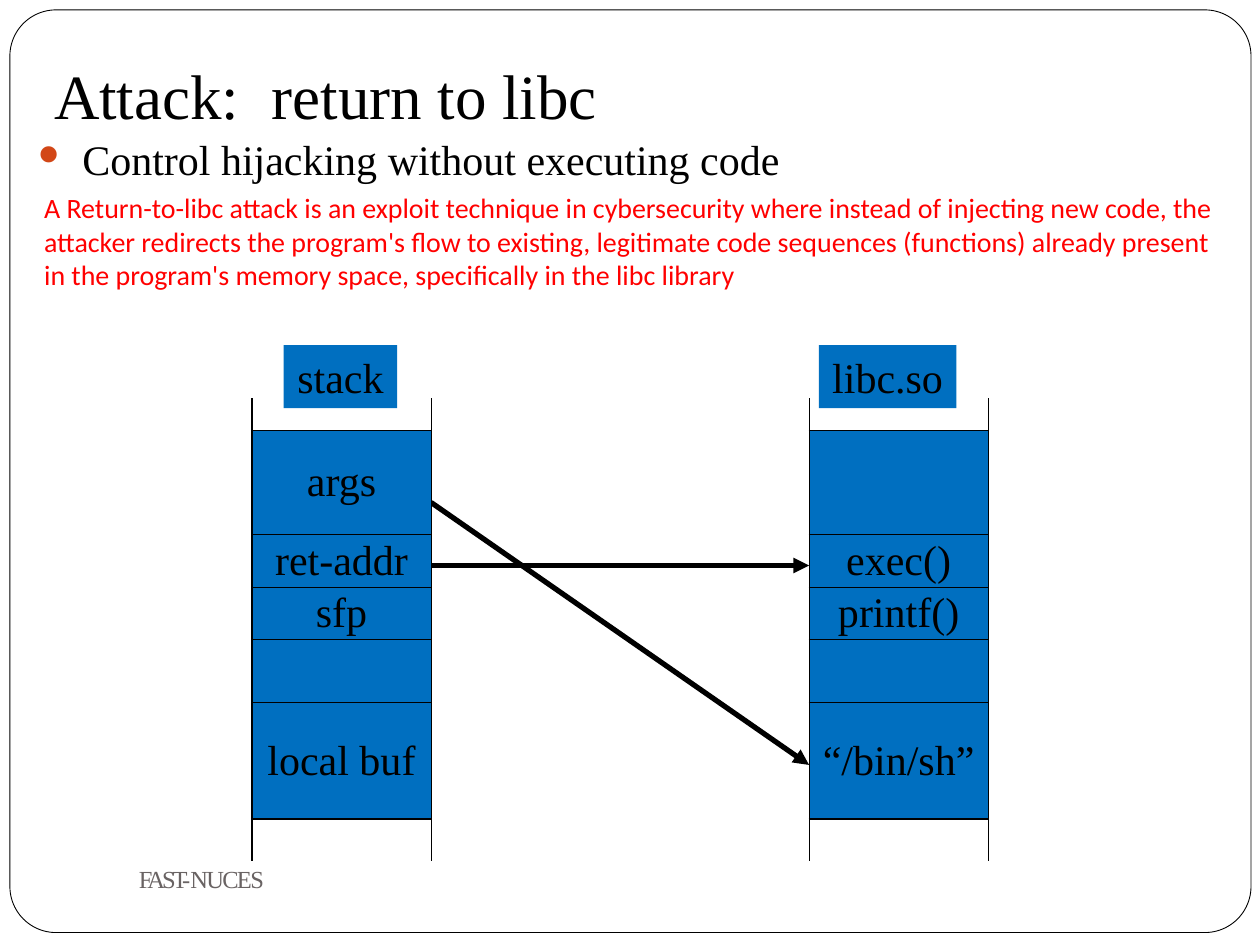
from dataclasses import dataclass

from lxml import etree
from pptx import Presentation
from pptx.dml.color import RGBColor
from pptx.enum.shapes import MSO_CONNECTOR, MSO_SHAPE
from pptx.enum.text import MSO_ANCHOR, PP_ALIGN
from pptx.oxml.ns import qn
from pptx.util import Cm, Pt

STRAIGHT = MSO_CONNECTOR.STRAIGHT
RECTANGLE, ROUNDED = MSO_SHAPE.RECTANGLE, MSO_SHAPE.ROUNDED_RECTANGLE
TOP, MIDDLE, BOTTOM = MSO_ANCHOR.TOP, MSO_ANCHOR.MIDDLE, MSO_ANCHOR.BOTTOM
CENTER = PP_ALIGN.CENTER


@dataclass(frozen=True)
class Theme:
    """Colours, fonts and type sizes of the deck."""
    ink: str = "000000"
    cell: str = "006FC0"
    bullet: str = "D24717"
    note: str = "FF0000"
    footer: str = "696363"
    serif: str = "Times New Roman"
    sans: str = "Calibri"
    title_size: int = 36
    label_size: int = 24
    note_size: int = 16
    footer_size: int = 14
    empty_size: int = 8


@dataclass(frozen=True)
class Box:
    """A region in centimetres."""
    left: float
    top: float
    width: float
    height: float

    def lengths(self):
        """Return the four sides as lengths."""
        return Cm(self.left), Cm(self.top), Cm(self.width), Cm(self.height)


THEME = Theme()
ROW_HEIGHTS = (0.64, 2.11, 1.06, 1.06, 1.27, 2.34, 0.84)
TABLE_OFFSET = 1.07
LABEL_HEIGHT = 1.27


def add_xml(parent, tag, **attributes):
    """Append an element and return it."""
    return etree.SubElement(parent, qn(tag), attributes)


def style(para, size, color=THEME.ink, face=THEME.serif):
    """Set the font of a whole paragraph."""
    para.font.size = Pt(size)
    para.font.name = face
    para.font.color.rgb = RGBColor.from_string(color)


def set_insets(frame, left=0, top=0, right=0, bottom=0):
    """Set the insets of a text frame or cell."""
    frame.margin_left, frame.margin_right = Cm(left), Cm(right)
    frame.margin_top, frame.margin_bottom = Cm(top), Cm(bottom)


def add_text_frame(page, box, anchor=TOP):
    """Add a wrapping text box without insets and return its frame."""
    frame = page.shapes.add_textbox(*box.lengths()).text_frame
    frame.word_wrap = True
    frame.vertical_anchor = anchor
    set_insets(frame)
    return frame


def add_tab(para, position):
    """Add a left tab stop to a paragraph."""
    stops = add_xml(para._p.get_or_add_pPr(), "a:tabLst")
    add_xml(stops, "a:tab", pos=str(Cm(position)), algn="l")


def add_frame(page, box):
    """Draw the rounded page border."""
    border = page.shapes.add_shape(ROUNDED, *box.lengths())
    border.shadow.inherit = False
    border.adjustments[0] = 0.05
    border.fill.background()
    border.line.color.rgb = RGBColor.from_string(THEME.ink)
    border.line.width = Pt(0.5)


def add_title(page, box):
    """Write the title."""
    para = add_text_frame(page, box, BOTTOM).paragraphs[0]
    para.text = "Attack:\treturn to libc"
    add_tab(para, 4.39)
    style(para, THEME.title_size)


def add_bullet(page, box):
    """Write the bulleted headline."""
    frame = add_text_frame(page, box)
    set_insets(frame, top=0.06)
    para = frame.paragraphs[0]
    para.text = "Control hijacking without executing code"
    properties = para._p.get_or_add_pPr()
    properties.set("marL", str(Cm(1.02)))
    properties.set("indent", str(-Cm(0.97)))
    color = add_xml(properties, "a:buClr")
    add_xml(color, "a:srgbClr", val=THEME.bullet)
    add_xml(properties, "a:buSzPct", val="83000")
    add_xml(properties, "a:buChar", char="⚫")
    style(para, THEME.label_size)


def add_note(page, box):
    """Write the red explanation."""
    frame = add_text_frame(page, box)
    set_insets(frame, 0.25, 0.13, 0.25, 0.13)
    para = frame.paragraphs[0]
    para.text = (
        "A Return-to-libc attack is an exploit technique in cybersecurity where "
        "instead of injecting new code, the attacker redirects the program's flow "
        "to existing, legitimate code sequences (functions) already present in the "
        "program's memory space, specifically in the libc library"
    )
    style(para, THEME.note_size, THEME.note, THEME.sans)


def add_footer(page, box):
    """Write the tightly spaced footer."""
    frame = add_text_frame(page, box)
    set_insets(frame, left=0.46, top=0.2)
    para = frame.paragraphs[0]
    para.line_spacing = Pt(15.5)
    for text, spacing in (("FAST-", -180), ("NUCES", -100)):
        span = para.add_run()
        span.text = text
        span._r.get_or_add_rPr().set("spc", str(spacing))
    style(para, THEME.footer_size, THEME.footer)


def set_borders(cell, hidden):
    """Rule a cell on every side but the hidden ones."""
    properties = cell._tc.get_or_add_tcPr()
    for index, side in enumerate("LRTB"):
        line = etree.Element(qn(f"a:ln{side}"), w=str(Pt(0.75)))
        if side in hidden:
            add_xml(line, "a:noFill")
        else:
            fill = add_xml(line, "a:solidFill")
            add_xml(fill, "a:srgbClr", val=THEME.ink)
        properties.insert(index, line)


def add_memory_column(page, box, label, label_left, label_width, entries):
    """Draw a column of memory cells with its label above."""
    area = Box(box.left, box.top + TABLE_OFFSET, box.width, sum(ROW_HEIGHTS))
    table = page.shapes.add_table(len(ROW_HEIGHTS), 1, *area.lengths()).table
    table.first_row = table.horz_banding = False
    hidden_sides = {0: "T", len(ROW_HEIGHTS) - 1: "B"}
    for index, height in enumerate(ROW_HEIGHTS):
        table.rows[index].height = Cm(height)
        cell = table.cell(index, 0)
        set_insets(cell)
        cell.vertical_anchor = MIDDLE
        if index in hidden_sides:
            cell.fill.background()
        else:
            cell.fill.solid()
            cell.fill.fore_color.rgb = RGBColor.from_string(THEME.cell)
        set_borders(cell, hidden_sides.get(index, ""))
        para = cell.text_frame.paragraphs[0]
        para.alignment = CENTER
        if index in entries:
            para.text = entries[index]
            style(para, THEME.label_size)
        else:
            add_xml(para._p, "a:endParaRPr", sz=str(THEME.empty_size * 100))

    place = Box(box.left + label_left, box.top, label_width, LABEL_HEIGHT)
    tag = page.shapes.add_shape(RECTANGLE, *place.lengths())
    tag.shadow.inherit = False
    tag.fill.solid()
    tag.fill.fore_color.rgb = RGBColor.from_string(THEME.cell)
    tag.line.fill.background()
    set_insets(tag.text_frame)
    tag.text_frame.vertical_anchor = MIDDLE
    para = tag.text_frame.paragraphs[0]
    para.text = label
    para.alignment = CENTER
    style(para, THEME.label_size)


def add_arrows(page, box):
    """Draw the arrows across the gap between the columns."""
    for start, end in ((4.44, 4.44), (3.17, 8.46)):
        arrow = page.shapes.add_connector(
            STRAIGHT, Cm(box.left), Cm(box.top + start),
            Cm(box.left + box.width), Cm(box.top + end))
        arrow.line.color.rgb = RGBColor.from_string(THEME.ink)
        arrow.line.width = Pt(3)
        add_xml(arrow.line._get_or_add_ln(), "a:tailEnd", type="triangle")
        add_xml(arrow._element.spPr, "a:effectLst")


def main():
    """Build the slide and save it."""
    deck = Presentation()
    deck.slide_width, deck.slide_height = Cm(25.4), Cm(19.05)
    page = deck.slides.add_slide(deck.slide_layouts[6])
    add_frame(page, Box(0.2, 0.2, 25.02, 18.6))
    add_title(page, Box(1.09, 1.07, 12, 1.6))
    add_bullet(page, Box(0.64, 2.64, 16, 1.09))
    add_arrows(page, Box(8.69, 6.96, 7.62, 10.39))
    add_memory_column(page, Box(5.08, 6.96, 3.61, 10.39), "stack", 0.64, 2.29,
                      {1: "args", 2: "ret-addr", 3: "sfp", 5: "local buf"})
    add_memory_column(page, Box(16.31, 6.96, 3.61, 10.39), "libc.so", 0.2, 2.77,
                      {2: "exec()", 3: "printf()", 5: "“/bin/sh”"})
    add_footer(page, Box(2.34, 17.27, 3.6, 0.86))
    add_note(page, Box(0.64, 3.71, 24.33, 2.31))
    deck.save("out.pptx")


if __name__ == "__main__":
    main()
